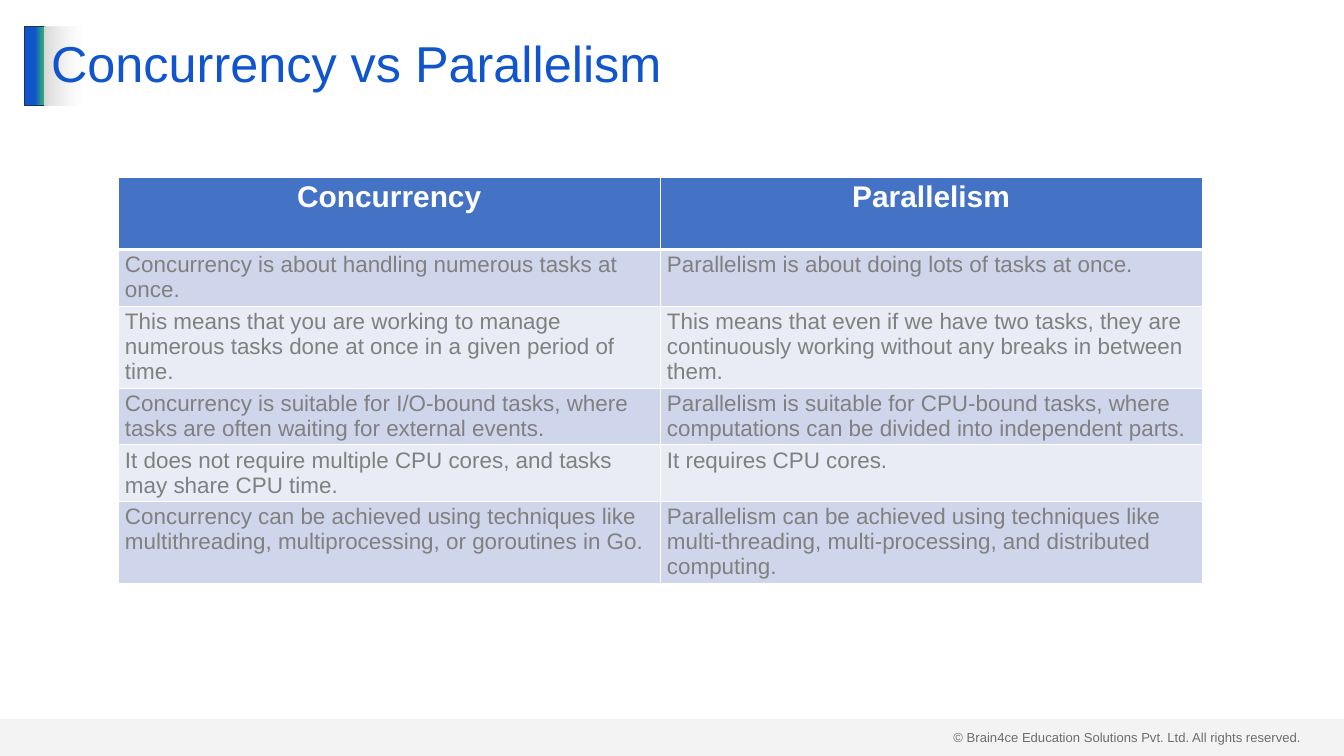
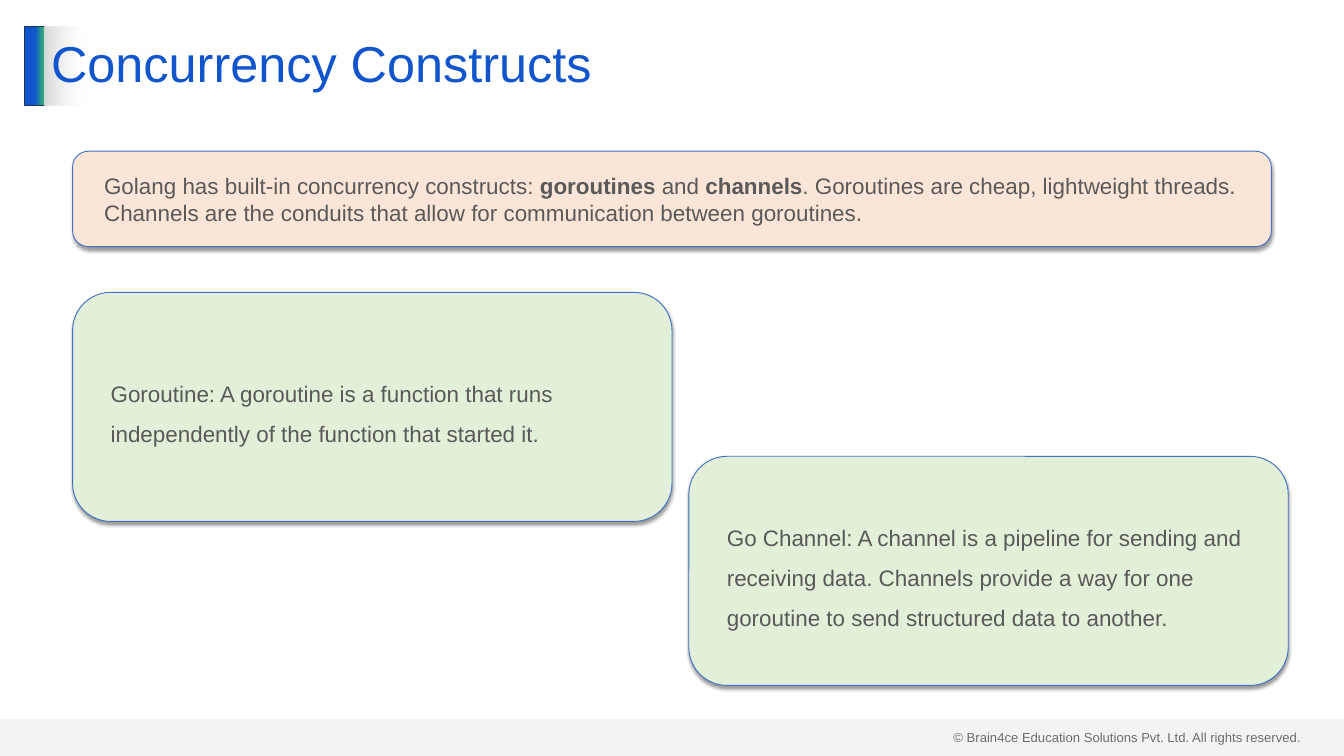
"""Builds two slides comparing concurrency with parallelism and Go's constructs."""
from dataclasses import dataclass

from lxml import etree
from pptx import Presentation
from pptx import util as u
from pptx.dml import color
from pptx.enum import shapes, text
from pptx.oxml import ns

FONT = "Arial"
COLORS = {
    "title": "1155CC", "bar_end": "2EA87D", "bar_line": "1E3256",
    "band": "D9D9D9", "footer": "404040", "white": "FFFFFF",
    "accent": "4472C4", "row_odd": "CFD5EA", "row_even": "E9EBF5",
    "cell_text": "808080", "card_text": "595959", "peach": "FBE5D6",
    "green": "E2F0D9", "shadow": "000000",
}
COPYRIGHT = "© Brain4ce Education Solutions Pvt. Ltd. All rights reserved."
ROWS = [
    ("Concurrency", "Parallelism"),
    ("Concurrency is about handling numerous tasks at once.",
     "Parallelism is about doing lots of tasks at once."),
    ("This means that you are working to manage numerous tasks done at once "
     "in a given period of time.",
     "This means that even if we have two tasks, they are continuously working "
     "without any breaks in between them."),
    ("Concurrency is suitable for I/O-bound tasks, where tasks are often "
     "waiting for external events.",
     "Parallelism is suitable for CPU-bound tasks, where computations can be "
     "divided into independent parts."),
    ("It does not require multiple CPU cores, and tasks may share CPU time.",
     "It requires CPU cores."),
    ("Concurrency can be achieved using techniques like multithreading, "
     "multiprocessing, or goroutines in Go.",
     "Parallelism can be achieved using techniques like multi-threading, "
     "multi-processing, and distributed computing."),
]
ROW_HEIGHTS = [1.07, 0.84, 1.22, 0.84, 0.84, 1.22]


@dataclass
class Box:
    """Position and size in inches."""
    left: float
    top: float
    width: float
    height: float

    def emu(self) -> list:
        """Return the four lengths for python-pptx."""
        return [u.Inches(v) for v in (self.left, self.top, self.width, self.height)]


@dataclass
class Stop:
    """One gradient stop, with position and opacity in percent."""
    pos: int
    color: str
    alpha: int = 100


@dataclass
class Card:
    """A rounded text card; every second run is bold."""
    box: Box
    fill: str
    runs: list
    spacing: float = 1.0


CARDS = [
    Card(Box(1.08, 2.25, 17.84, 1.42), "peach",
         ["Golang has built-in concurrency constructs: ", "goroutines", " and ",
          "channels", ". Goroutines are cheap, lightweight threads. Channels are "
          "the conduits that allow for communication between goroutines."]),
    Card(Box(1.08, 4.35, 8.92, 3.41), "green",
         ["Goroutine: A goroutine is a function that runs independently of the "
          "function that started it."], 1.5),
    Card(Box(10.25, 6.79, 8.92, 3.41), "green",
         ["Go Channel: A channel is a pipeline for sending and receiving data. "
          "Channels provide a way for one goroutine to send structured data to "
          "another."], 1.5),
]


def rgb(name: str) -> color.RGBColor:
    """Look up a named colour."""
    return color.RGBColor.from_string(COLORS[name])


def sub(parent, tag: str, **attrs):
    """Append a DrawingML child element."""
    return etree.SubElement(parent, ns.qn(f"a:{tag}"),
                            {k: str(v) for k, v in attrs.items()})


def add_color(parent, name: str, alpha: int = 100) -> None:
    """Append a colour with opacity in percent."""
    clr = sub(parent, "srgbClr", val=COLORS[name])
    if alpha < 100:
        sub(clr, "alpha", val=alpha * 1000)


def set_font(font, size: float, name: str, bold: bool = False) -> None:
    """Format a font."""
    font.name, font.size, font.bold = FONT, u.Pt(size), bold
    font.color.rgb = rgb(name)


def set_gradient(sp, stops: list) -> None:
    """Fill a shape with a left-to-right gradient."""
    sp.fill.gradient()
    sp.fill.gradient_angle = 0
    gs_list = sp.element.spPr.find(f".//{ns.qn('a:gsLst')}")
    for gs in list(gs_list):
        gs_list.remove(gs)
    for stop in stops:
        add_color(sub(gs_list, "gs", pos=stop.pos * 1000), stop.color, stop.alpha)


def add_box(s, kind, box: Box, fill: str = "", line: str = ""):
    """Add a preset shape without shadow."""
    sp = s.shapes.add_shape(kind, *box.emu())
    if fill:
        sp.fill.solid()
        sp.fill.fore_color.rgb = rgb(fill)
    if line:
        sp.line.color.rgb = rgb(line)
        sp.line.width = u.Pt(1)
    else:
        sp.line.fill.background()
    sp.shadow.inherit = False
    return sp


def add_slide(prs, title: str):
    """Add a slide with title, accent bar and footer."""
    s = prs.slides.add_slide(prs.slide_layouts[5])
    footer = s.shapes.add_textbox(*Box(14.09, 10.8, 5.41, 0.34).emu())
    tf = footer.text_frame
    tf.word_wrap = True
    tf.text = COPYRIGHT
    set_font(tf.paragraphs[0].runs[0].font, 14, "footer")

    rect = shapes.MSO_SHAPE.RECTANGLE
    bar = add_box(s, rect, Box(0.37, 0.39, 0.3, 1.18), line="bar_line")
    set_gradient(bar, [Stop(51, "title"), Stop(90, "bar_end"), Stop(100, "bar_end")])
    band = add_box(s, rect, Box(0, 10.7, 20, 0.55), "band")
    sub(band.element.spPr.find(f".//{ns.qn('a:srgbClr')}"), "alpha", val=29000)

    sp = s.shapes.title
    sp.left, sp.top, sp.width, sp.height = Box(0.66, 0.39, 18.67, 1.18).emu()
    set_gradient(sp, [Stop(0, "band"), Stop(3, "white", 50)])
    band.element.addnext(sp.element)
    tf = sp.text_frame
    tf.text = title
    tf.auto_size = text.MSO_AUTO_SIZE.NONE
    tf.vertical_anchor = text.MSO_ANCHOR.MIDDLE
    p = tf.paragraphs[0]
    p.alignment = text.PP_ALIGN.LEFT
    p.line_spacing = 0.9
    set_font(p.runs[0].font, 54, "title")
    return s


def set_borders(cell, bottom: float) -> None:
    """Draw white cell borders with a given bottom width in points."""
    tc_pr = cell._tc.get_or_add_tcPr()
    for i, (side, width) in enumerate(zip("LRTB", (1, 1, 1, bottom))):
        ln = sub(tc_pr, f"ln{side}", w=u.Pt(width))
        add_color(sub(ln, "solidFill"), "white")
        tc_pr.insert(i, ln)


def add_comparison(s) -> None:
    """Add the comparison table."""
    box = Box(1.76, 2.64, 16.13, sum(ROW_HEIGHTS))
    table = s.shapes.add_table(len(ROWS), len(ROWS[0]), *box.emu()).table
    for i, (row, height) in enumerate(zip(ROWS, ROW_HEIGHTS)):
        table.rows[i].height = u.Inches(height)
        header = i == 0
        fill = "accent" if header else ("row_odd" if i % 2 else "row_even")
        for j, words in enumerate(row):
            cell = table.cell(i, j)
            cell.text = words
            cell.fill.solid()
            cell.fill.fore_color.rgb = rgb(fill)
            set_borders(cell, 3 if header else 1)
            p = cell.text_frame.paragraphs[0]
            p.alignment = text.PP_ALIGN.CENTER if header else text.PP_ALIGN.LEFT
            set_font(p.runs[0].font, 32 if header else 24,
                     "white" if header else "cell_text", header)


def add_card(s, card: Card) -> None:
    """Add a rounded card with a soft shadow."""
    sp = add_box(s, shapes.MSO_SHAPE.ROUNDED_RECTANGLE, card.box, card.fill, "accent")
    effects = sp.element.spPr.find(ns.qn("a:effectLst"))
    shadow = sub(effects, "outerShdw", blurRad=u.Pt(4), dist=u.Pt(3),
                 dir=90 * 60000, rotWithShape=0)
    add_color(shadow, "shadow", 40)
    tf = sp.text_frame
    tf.word_wrap = True
    tf.vertical_anchor = text.MSO_ANCHOR.MIDDLE
    tf.margin_left = tf.margin_right = u.Inches(0.2)
    tf.margin_top = tf.margin_bottom = u.Inches(0.1)
    p = tf.paragraphs[0]
    p.level = 1
    p.alignment = text.PP_ALIGN.LEFT
    p.line_spacing = card.spacing
    p.space_after = u.Pt(12)
    p_pr = p._p.get_or_add_pPr()
    p_pr.set("marL", str(u.Inches(0.2)))
    p_pr.set("indent", "0")
    for i, words in enumerate(card.runs):
        r = p.add_run()
        r.text = words
        set_font(r.font, 24, "card_text", i % 2 == 1)


def main() -> None:
    """Build and save the presentation."""
    prs = Presentation()
    prs.slide_width, prs.slide_height = u.Inches(20), u.Inches(11.25)
    add_comparison(add_slide(prs, "Concurrency vs Parallelism"))
    s = add_slide(prs, "Concurrency Constructs")
    for card in CARDS:
        add_card(s, card)
    prs.save("out.pptx")


if __name__ == "__main__":
    main()
